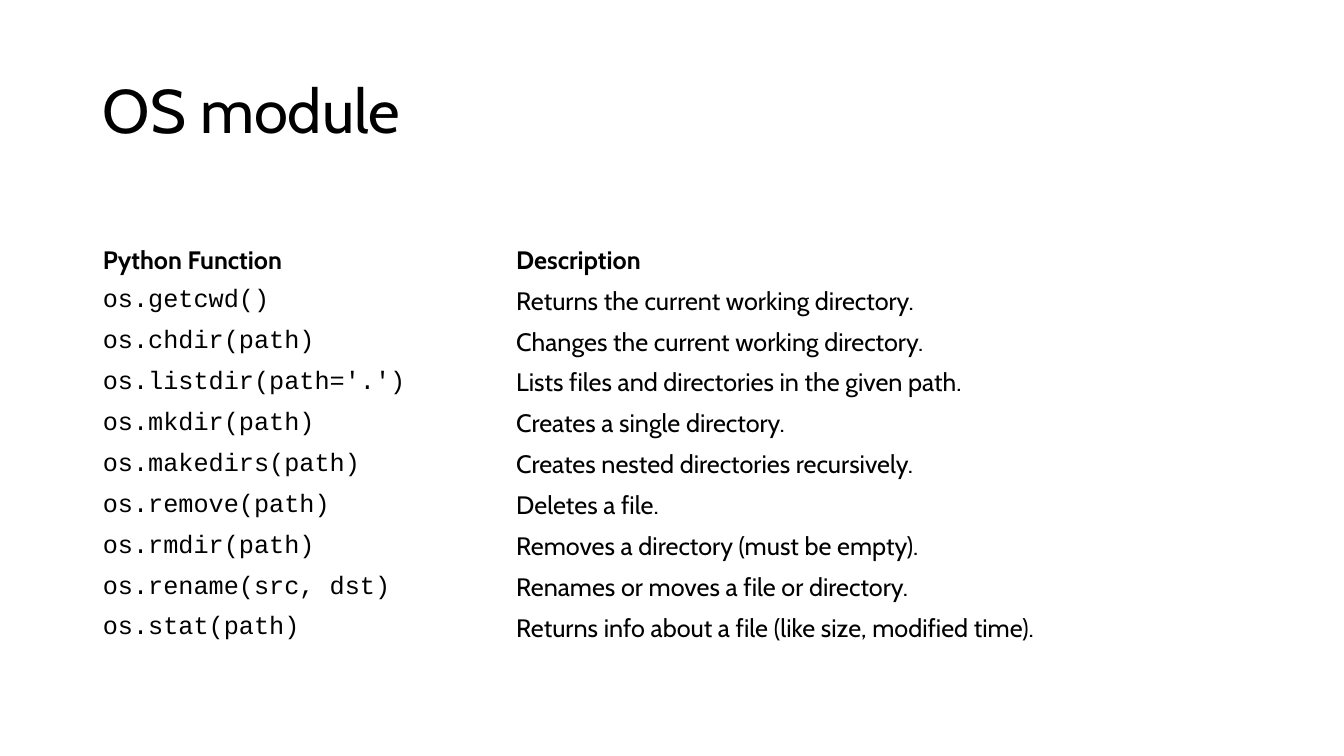
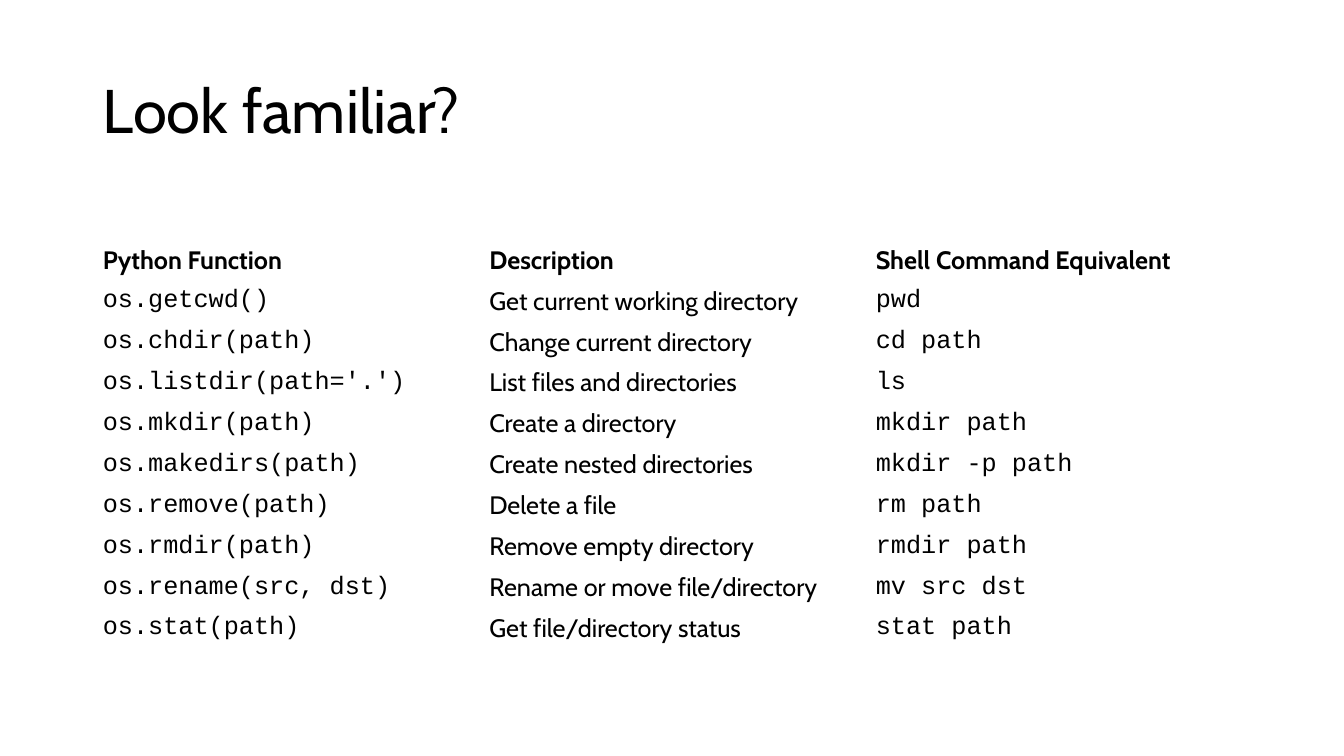
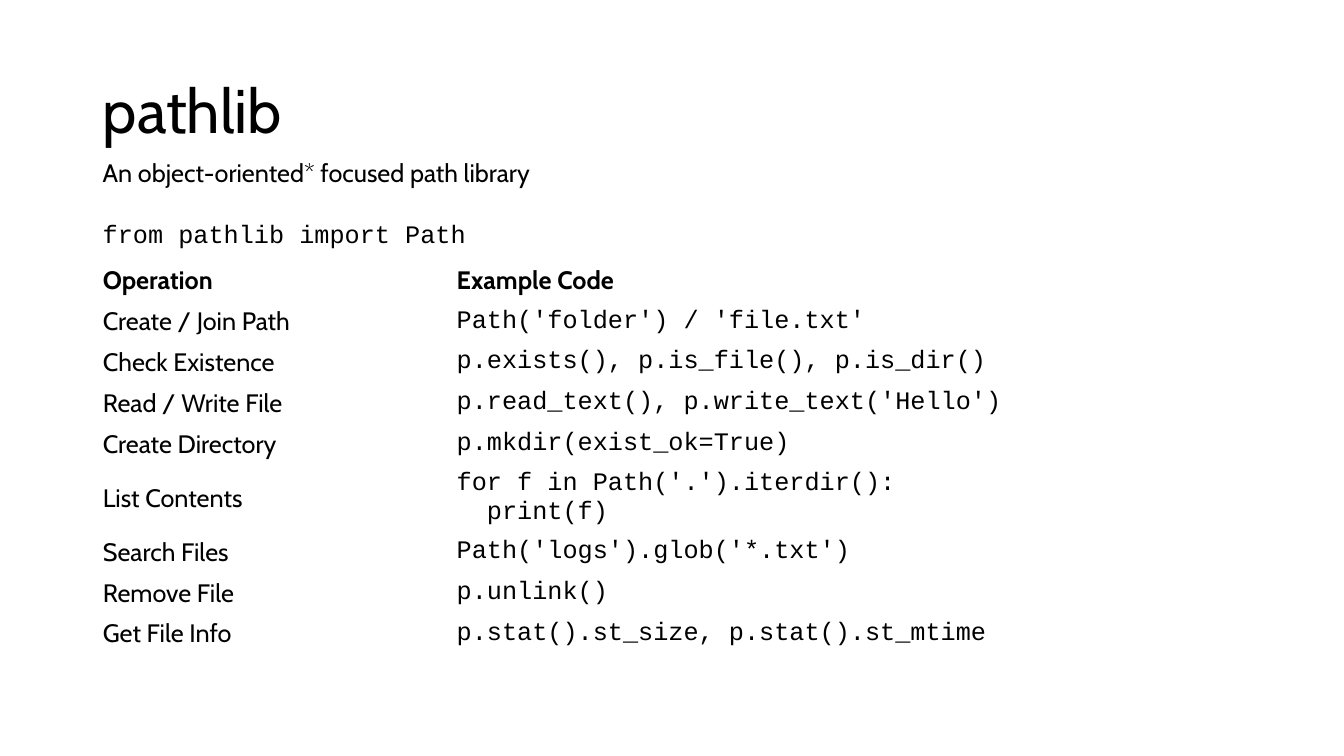
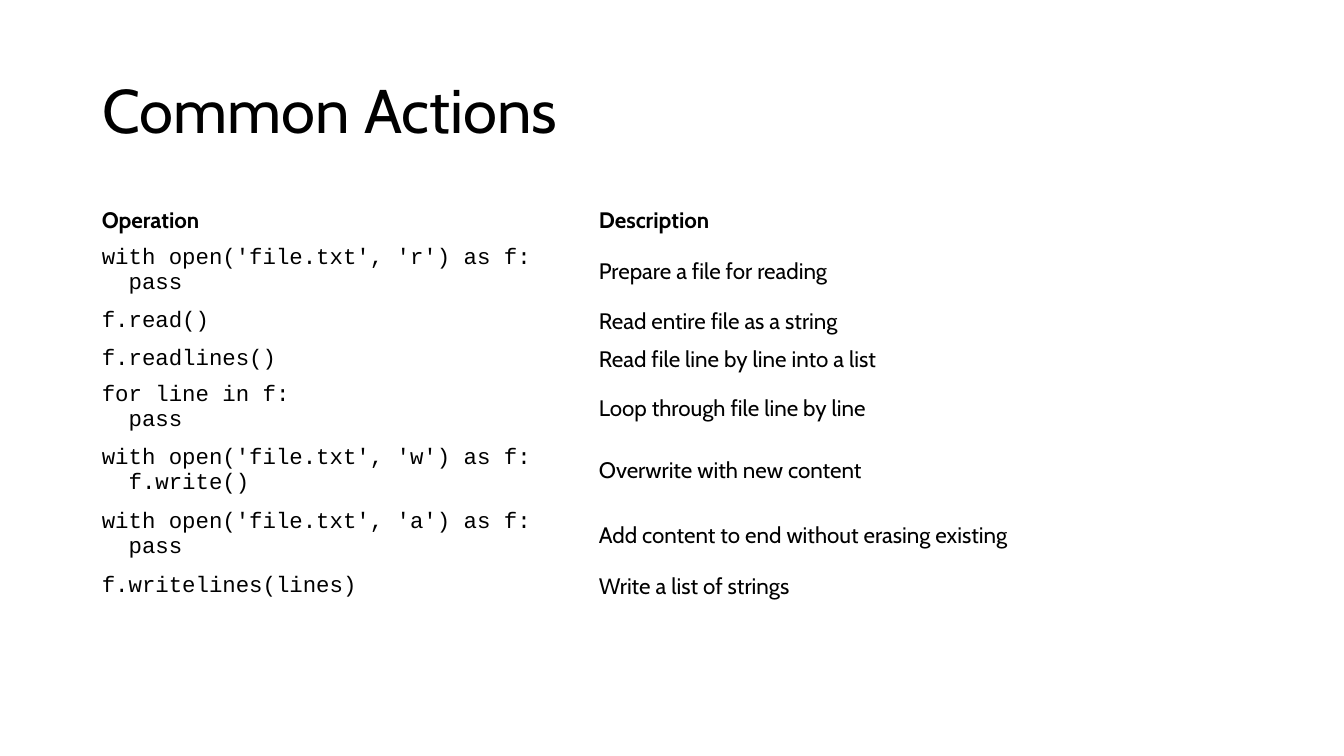
from copy import deepcopy
from dataclasses import dataclass

from pptx import Presentation
from pptx.dml.color import RGBColor
from pptx.enum import text as t
from pptx.oxml.ns import qn
from pptx.slide import Slide
from pptx.text.text import TextFrame
from pptx.util import Inches, Pt


@dataclass(frozen=True)
class Theme:
    text: RGBColor = RGBColor(0, 0, 0)
    sans: str = "Cabin"
    mono: str = "Courier New"
    title_size: int = 44
    body_size: int = 18
    small_size: int = 16
    left: float = 0.92
    width: float = 11.5


@dataclass(frozen=True)
class TableSlide:
    """A titled table; "\\v" in a cell breaks a line, "\\n" a paragraph."""
    title: str
    top: float
    cols: tuple[float, ...]
    code_cols: tuple[int, ...]
    rows: list[tuple[str, ...]]
    size: int
    row_height: float = 0.4
    margin: float = 0.1
    intro: tuple[str, str] | None = None


THEME = Theme()

FUNCTIONS = (
    "os.getcwd()", "os.chdir(path)", "os.listdir(path='.')",
    "os.mkdir(path)", "os.makedirs(path)", "os.remove(path)",
    "os.rmdir(path)", "os.rename(src, dst)", "os.stat(path)",
)
DESCRIPTIONS = (
    "Returns the current working directory.",
    "Changes the current working directory.",
    "Lists files and directories in the given path.",
    "Creates a single directory.",
    "Creates nested directories recursively.",
    "Deletes a file.",
    "Removes a directory (must be empty).",
    "Renames or moves a file or directory.",
    "Returns info about a file (like size, modified time).",
)
SUMMARIES = (
    "Get current working directory", "Change current directory",
    "List files and directories", "Create a directory",
    "Create nested directories", "Delete a file",
    "Remove empty directory", "Rename or move file/directory",
    "Get file/directory status",
)
COMMANDS = (
    "pwd", "cd path", "ls", "mkdir path", "mkdir -p path", "rm path",
    "rmdir path", "mv src dst", "stat path",
)

SLIDES = [
    TableSlide(
        "OS module", 2.38, (4.1, 7.4), (0,),
        [("Python Function", "Description"), *zip(FUNCTIONS, DESCRIPTIONS)],
        THEME.body_size),
    TableSlide(
        "Look familiar?", 2.38, (THEME.width / 3,) * 3, (0, 2),
        [("Python Function", "Description", "Shell Command Equivalent"),
         *zip(FUNCTIONS, SUMMARIES, COMMANDS)],
        THEME.body_size),
    TableSlide(
        "pathlib", 2.58, (3.51, 7.99), (1,),
        [("Operation", "Example Code"),
         ("Create / Join Path", "Path('folder') / 'file.txt'"),
         ("Check Existence", "p.exists(), p.is_file(), p.is_dir()"),
         ("Read / Write File", "p.read_text(), p.write_text('Hello')"),
         ("Create Directory", "p.mkdir(exist_ok=True)"),
         ("List Contents", "for f in Path('.').iterdir():\v  print(f)"),
         ("Search Files", "Path('logs').glob('*.txt')"),
         ("Remove File", "p.unlink()"),
         ("Get File Info", "p.stat().st_size, p.stat().st_mtime")],
        THEME.body_size,
        intro=("An object-oriented* focused path library",
               "from pathlib import Path")),
    TableSlide(
        "Common Actions", 2, (4.93, 6.57), (0,),
        [("Operation", "Description"),
         ("with open('file.txt', 'r') as f:\v  pass",
          "Prepare a file for reading"),
         ("f.read()", "Read entire file as a string"),
         ("f.readlines()", "Read file line by line into a list"),
         ("for line in f:\n  pass", "Loop through file line by line"),
         ("with open('file.txt', 'w') as f:\v  f.write()",
          "Overwrite with new content"),
         ("with open('file.txt', 'a') as f:\v  pass",
          "Add content to end without erasing existing"),
         ("f.writelines(lines)", "Write a list of strings")],
        THEME.small_size, row_height=0.36, margin=0.09),
]
BROKEN_ROW_HEIGHT = 0.64


def format_text(tf: TextFrame, size: int, font: str = THEME.sans,
                bold: bool = False) -> None:
    """Format every run, and give line breaks the same properties."""
    for p in tf.paragraphs:
        p.alignment = t.PP_ALIGN.LEFT
        for r in p.runs:
            r.font.name = font
            r.font.size = Pt(size)
            r.font.bold = bold
            r.font.color.rgb = THEME.text
        for br in p._p.findall(qn("a:br")):
            br.insert(0, deepcopy(p.runs[0].font._rPr))


def add_title(s: Slide, title: str) -> None:
    sp = s.shapes.title
    sp.left, sp.top = Inches(THEME.left), Inches(0.4)
    sp.width, sp.height = Inches(THEME.width), Inches(1.45)
    tf = sp.text_frame
    tf.text = title
    tf.auto_size = t.MSO_AUTO_SIZE.NONE
    tf.vertical_anchor = t.MSO_ANCHOR.MIDDLE
    tf.paragraphs[0].line_spacing = 0.9
    format_text(tf, THEME.title_size)


def add_table(s: Slide, data: TableSlide) -> None:
    heights = [BROKEN_ROW_HEIGHT if "\v" in "".join(row) else data.row_height
               for row in data.rows]
    table = s.shapes.add_table(
        len(data.rows), len(data.cols), Inches(THEME.left), Inches(data.top),
        Inches(THEME.width), Inches(sum(heights))).table
    table.first_row = table.horz_banding = False
    for col, width in zip(table.columns, data.cols):
        col.width = Inches(width)
    for i, (row, height) in enumerate(zip(data.rows, heights)):
        table.rows[i].height = Inches(height)
        for j, value in enumerate(row):
            cell = table.cell(i, j)
            cell.fill.background()
            cell.vertical_anchor = t.MSO_ANCHOR.MIDDLE
            cell.margin_left = cell.margin_right = Inches(data.margin)
            cell.text_frame.text = value
            is_code = i > 0 and j in data.code_cols
            format_text(cell.text_frame, data.size,
                        THEME.mono if is_code else THEME.sans, bold=i == 0)


def add_intro(s: Slide, intro: tuple[str, str]) -> None:
    """Add a sentence with a line of code below it."""
    sp = s.shapes.add_textbox(Inches(THEME.left), Inches(1.51),
                              Inches(4.55), Inches(1.01))
    tf = sp.text_frame
    tf.word_wrap = True
    tf.text = "\n".join(intro)
    format_text(tf, THEME.body_size)
    code = tf.paragraphs[1]
    code.space_before = Pt(22)
    code.runs[0].font.name = THEME.mono


def main() -> None:
    prs = Presentation()
    prs.slide_width, prs.slide_height = Inches(13.33), Inches(7.5)
    title_only = prs.slide_layouts[5]
    for data in SLIDES:
        s = prs.slides.add_slide(title_only)
        add_title(s, data.title)
        add_table(s, data)
        if data.intro:
            add_intro(s, data.intro)
    prs.save("out.pptx")


if __name__ == "__main__":
    main()
